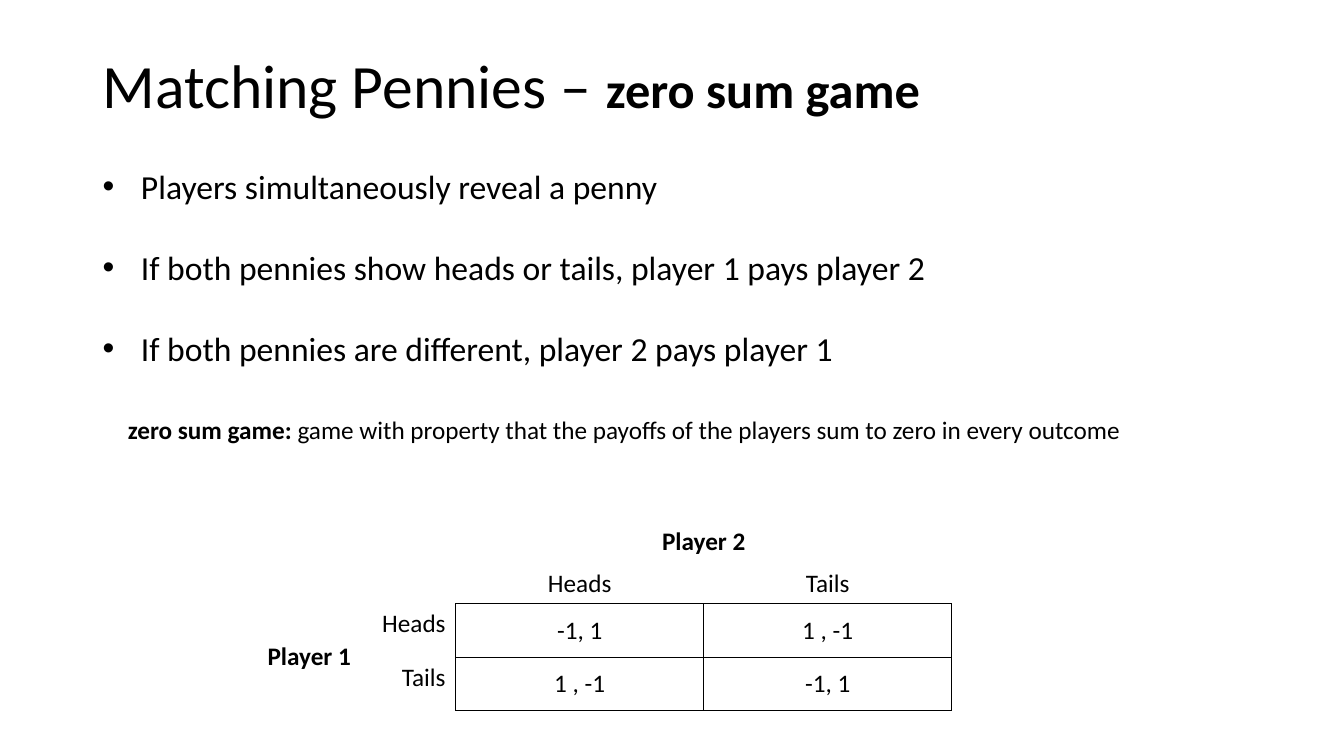
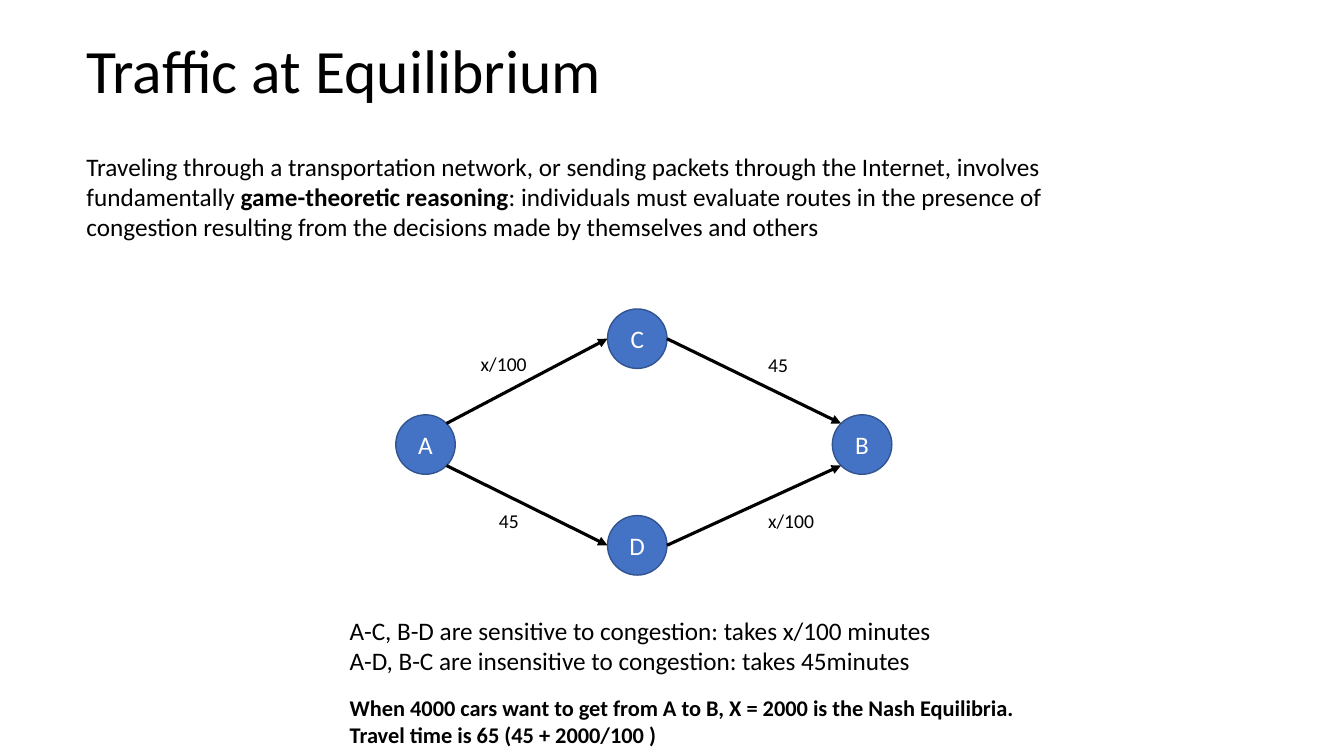
from math import sqrt
from lxml.etree import SubElement as Sub
from pptx import Presentation
from pptx.dml.color import RGBColor
from pptx.enum.shapes import MSO_CONNECTOR as Conn, MSO_SHAPE as Shape
from pptx.enum.text import MSO_ANCHOR as Anchor, PP_ALIGN as Align
from pptx.oxml.ns import qn
from pptx.util import Inches, Pt

FONT, BLACK, WHITE, BLUE, EDGE = "Calibri", "000000", "FFFFFF", "4472C4", "325491"
LEFT, MID, RIGHT = Align.LEFT, Align.CENTER, Align.RIGHT

RULES = [
    "Players simultaneously reveal a penny",
    "If both pennies show heads or tails, player 1 pays player 2",
    "If both pennies are different, player 2 pays player 1",
]
TERM = ["**zero sum game: **game with property that the payoffs of the players sum to zero in every outcome"]
GAME = [
    ["", "", "**Player 2**", ""],
    ["", "", "Heads", "Tails"],
    ["**Player 1**", "Heads", "-1, 1", "1 , -1"],
    ["", "Tails", "1 , -1", "-1, 1"],
]
COLS = [3.58, 0.94, 2.46, 2.46]
ROWS = [0.42, 0.4, 0.53, 0.53]

INTRO = [
    "Traveling through a transportation network, or sending packets through the Internet, involves "
    "fundamentally **game-theoretic reasoning**: individuals must evaluate routes in the presence of "
    "congestion resulting from the decisions made by themselves and others"
]
SIZE = 0.59
NODES = {"A": (4.22, 4.41), "C": (6.32, 3.36), "D": (6.32, 5.41), "B": (8.55, 4.41)}
SITES = {2: (-1, 0), 6: (1, 0), 1: (-1, -1), 3: (-1, 1), 5: (1, 1), 7: (1, -1)}
ROADS = [
    ("A", 7, "C", 2, "x/100", 4.67, 3.44),
    ("A", 5, "D", 2, "45", 4.85, 5),
    ("C", 6, "B", 1, "45", 7.52, 3.45),
    ("D", 6, "B", 3, "x/100", 7.52, 5),
]
COSTS = [
    "A-C, B-D are sensitive to congestion: takes x/100 minutes",
    "A-D, B-C are insensitive to congestion: takes 45minutes",
]
RESULT = [
    "**When 4000 cars want to get from A to B, X = 2000 is the Nash Equilibria.**",
    "**Travel time is 65 (45 + 2000/100 )**",
]


def color(code):
    return RGBColor.from_string(code)


def write(frame, paras, size=18, strong=None, ink=BLACK, align=LEFT, anchor=Anchor.TOP,
          line=None, gap=0, dot=False):
    frame.word_wrap = True
    frame.vertical_anchor = anchor
    for i, words in enumerate(paras):
        para = frame.add_paragraph() if i else frame.paragraphs[0]
        para.alignment, para.line_spacing = align, line
        para.space_after = Pt(gap)
        if dot:
            props = para._p.get_or_add_pPr()
            props.set("marL", str(Inches(0.38)))
            props.set("indent", str(-Inches(0.38)))
            Sub(props, qn("a:buFont"), typeface="Arial")
            Sub(props, qn("a:buChar"), char="•")
        for j, part in enumerate(words.split("**")):
            if part:
                run = para.add_run()
                run.text = part
                font = run.font
                font.name, font.bold = FONT, j % 2 == 1
                font.size = Pt(strong if strong and j % 2 else size)
                font.color.rgb = color(ink)


def text(slide, x, y, w, h, paras, **form):
    box = slide.shapes.add_textbox(*map(Inches, (x, y, w, h)))
    write(box.text_frame, paras, **form)


def title(slide, x, y, words):
    text(slide, x, y, 11.5, 1.45, [words], size=44, strong=36, line=0.9, anchor=Anchor.MIDDLE)


def border(cell, sides):
    props = cell._tc.get_or_add_tcPr()
    for n, side in enumerate(sides):
        edge = Sub(props, qn("a:ln" + side), w=str(Pt(1)))
        props.remove(edge)
        props.insert(n, edge)
        Sub(Sub(edge, qn("a:solidFill")), qn("a:srgbClr"), val=BLACK)


def matrix(slide, x, y):
    size = map(Inches, (x, y, sum(COLS), sum(ROWS)))
    table = slide.shapes.add_table(len(ROWS), len(COLS), *size).table
    table.first_row = table.horz_banding = False
    for col, wide in zip(table.columns, COLS):
        col.width = Inches(wide)
    for row, high in zip(table.rows, ROWS):
        row.height = Inches(high)
    table.cell(0, 2).merge(table.cell(0, 3))
    table.cell(2, 0).merge(table.cell(3, 0))
    for r, line in enumerate(GAME):
        for c, words in enumerate(line):
            cell = table.cell(r, c)
            cell.fill.background()
            write(cell.text_frame, [words], align=MID if c > 1 else RIGHT)
            top = r == 0 or c == 1
            cell.vertical_anchor = Anchor.TOP if top else Anchor.MIDDLE
            if r > 1 and c > 1:
                border(cell, "LRTB")
            elif r > 1 and c == 1:
                border(cell, "R")
            elif r == 1 and c > 1:
                border(cell, "B")


def node(slide, name, x, y):
    disc = slide.shapes.add_shape(
        Shape.OVAL, *map(Inches, (x - SIZE / 2, y - SIZE / 2, SIZE, SIZE)))
    disc.shadow.inherit = False
    disc.fill.solid()
    disc.fill.fore_color.rgb = color(BLUE)
    disc.line.color.rgb = color(EDGE)
    disc.line.width = Pt(1)
    write(disc.text_frame, [name], ink=WHITE, align=MID, anchor=Anchor.MIDDLE)
    return disc


def rim(name, site):
    x, y = NODES[name]
    dx, dy = SITES[site]
    reach = SIZE / 2 / sqrt(dx * dx + dy * dy)
    return Inches(x + dx * reach), Inches(y + dy * reach)


def road(slide, discs, start, out, end, into):
    arrow = slide.shapes.add_connector(Conn.STRAIGHT, *rim(start, out), *rim(end, into))
    arrow.line.color.rgb = color(BLACK)
    arrow.line.width = Pt(2.25)
    Sub(arrow.line._get_or_add_ln(), qn("a:tailEnd"), type="triangle")
    Sub(arrow._element.spPr, qn("a:effectLst"))
    joint = arrow._element.nvCxnSpPr.cNvCxnSpPr
    for tag, name, site in (("a:stCxn", start, out), ("a:endCxn", end, into)):
        Sub(joint, qn(tag), id=str(discs[name].shape_id), idx=str(site))


def pennies(slide):
    title(slide, 0.92, 0.15, "Matching Pennies – **zero sum game**")
    text(slide, 0.92, 1.6, 11.2, 2.12, RULES, size=24, gap=29, dot=True)
    matrix(slide, 0, 5.17)
    text(slide, 1.17, 4.06, 10.16, 0.4, TERM)


def traffic(slide):
    title(slide, 0.76, 0, "Traffic at Equilibrium")
    text(slide, 0.76, 1.45, 9.87, 1.01, INTRO)
    discs = {name: node(slide, name, *spot) for name, spot in NODES.items()}
    for *ends, cost, x, y in ROADS:
        road(slide, discs, *ends)
        text(slide, x, y, 0.48 if cost == "45" else 0.74, 0.34, [cost], size=14)
    text(slide, 3.37, 6.05, 6.19, 0.71, COSTS)
    text(slide, 3.37, 6.84, 7.6, 0.64, RESULT, size=16)


def main():
    deck = Presentation()
    deck.slide_width, deck.slide_height = Inches(13.33), Inches(7.5)
    for draw in (pennies, traffic):
        draw(deck.slides.add_slide(deck.slide_layouts[6]))
    deck.save("out.pptx")


if __name__ == "__main__":
    main()
